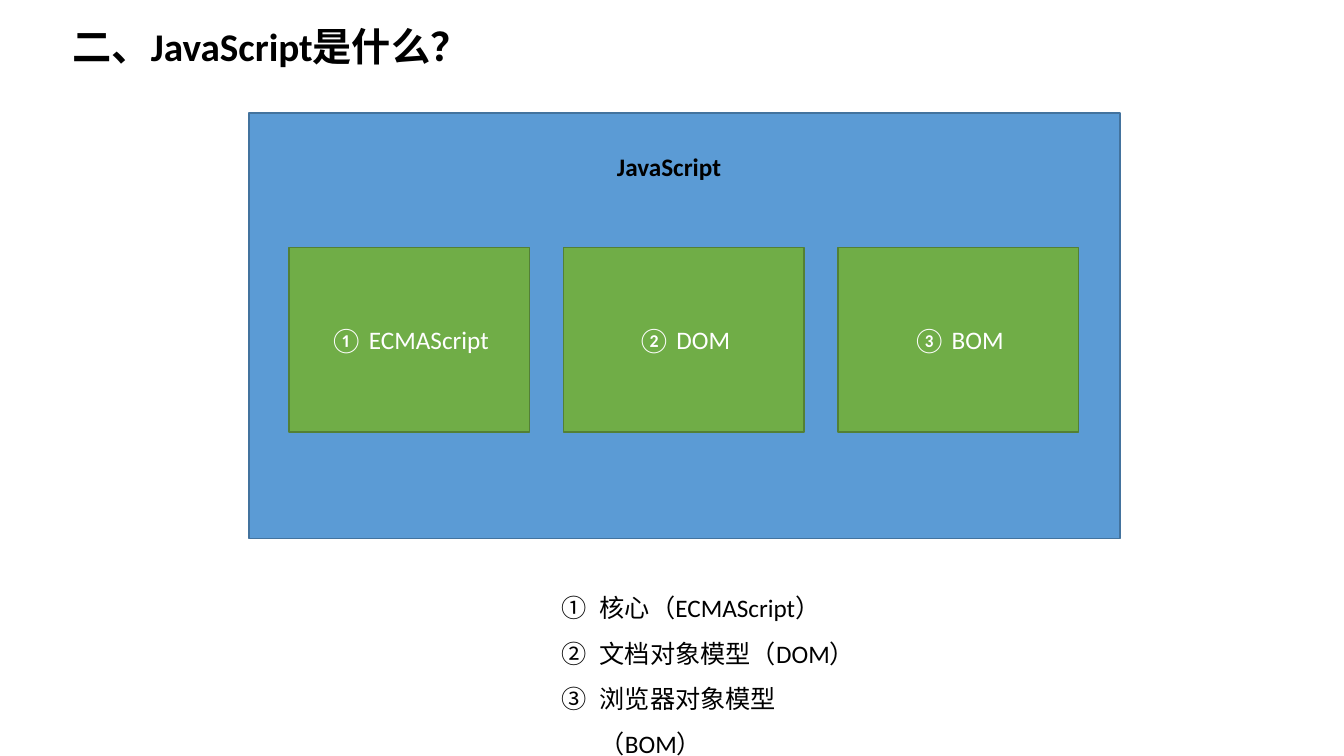
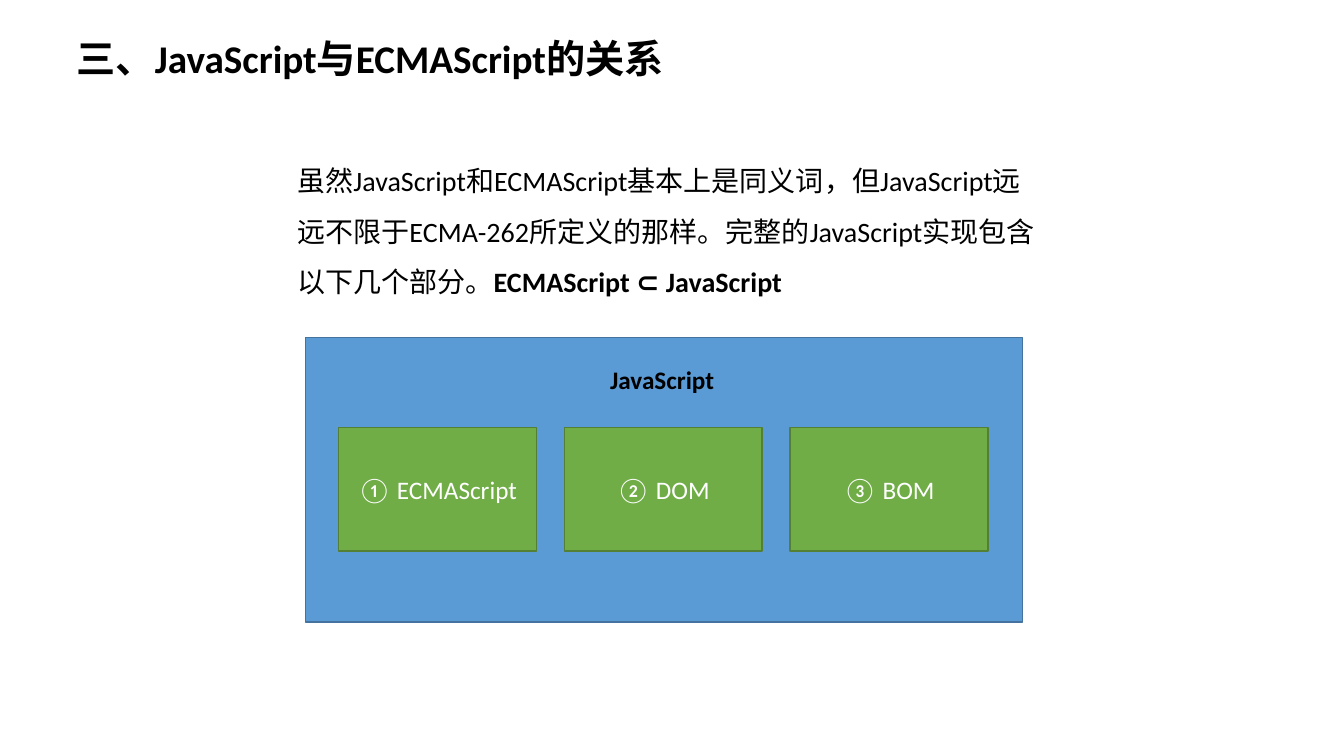
from lxml import etree
from pptx import Presentation
from pptx.dml.color import RGBColor
from pptx.enum.shapes import MSO_SHAPE
from pptx.enum.text import MSO_ANCHOR, MSO_AUTO_SIZE, PP_ALIGN
from pptx.oxml.ns import qn
from pptx.util import Inches, Pt

RECTANGLE = MSO_SHAPE.RECTANGLE
TOP, MIDDLE = MSO_ANCHOR.TOP, MSO_ANCHOR.MIDDLE
GROW = MSO_AUTO_SIZE.SHAPE_TO_FIT_TEXT
LEFT, CENTER = PP_ALIGN.LEFT, PP_ALIGN.CENTER

BLACK = RGBColor(0x00, 0x00, 0x00)
WHITE = RGBColor(0xFF, 0xFF, 0xFF)
BLUE = RGBColor(0x5B, 0x9B, 0xD5)
BLUE_EDGE = RGBColor(0x43, 0x73, 0x9E)
GREEN = RGBColor(0x70, 0xAD, 0x47)
GREEN_EDGE = RGBColor(0x53, 0x80, 0x35)

FONT = "Calibri"
TITLE_ONLY = 5
TITLE_STYLE = {"size": Pt(28), "bold": True}
LABEL_STYLE = {"size": Pt(18), "bold": True}
ITEM_STYLE = {"size": Pt(18), "bold": False}
BODY_STYLE = {"size": Pt(20), "bold": False}
STRONG_STYLE = {"size": Pt(20), "bold": True}

# Shares of the panel's width and height
LABEL_AREA = (0.411, 0.078, 0.178, 0.1)
MODULE_AREA = (0.046, 0.317, 0.276, 0.433)
MODULE_PITCH = 0.315

MODULES = ["① ECMAScript", "② DOM", "③ BOM"]
PARTS = ["核心（ECMAScript）", "文档对象模型（DOM）", "浏览器对象模型（BOM）"]
RELATION = ("虽然JavaScript和ECMAScript基本上是同义词，但JavaScript远远不限于"
            "ECMA-262所定义的那样。完整的JavaScript实现包含以下几个部分。")


def write(para, text, style, color=BLACK):
    span = para.add_run()
    span.text = text
    span.font.name = FONT
    span.font.color.rgb = color
    for name, value in style.items():
        setattr(span.font, name, value)


def share_of(panel, area):
    """Turn shares of a panel into left, top, width and height in inches."""
    left, top, width, height = panel
    return (left + area[0] * width, top + area[1] * height,
            area[2] * width, area[3] * height)


def add_page(deck, title, left, top):
    page = deck.slides.add_slide(deck.slide_layouts[TITLE_ONLY])
    box = page.shapes.title
    box.left, box.top = Inches(left), Inches(top)
    box.width, box.height = Inches(6.76), Inches(0.57)
    frame = box.text_frame
    frame.vertical_anchor = TOP
    frame.auto_size = GROW
    para = frame.paragraphs[0]
    para.alignment = LEFT
    write(para, title, TITLE_STYLE)
    return page


def add_text_frame(shapes, area):
    frame = shapes.add_textbox(*map(Inches, area)).text_frame
    frame.word_wrap = True
    frame.auto_size = GROW
    return frame


def add_rectangle(shapes, area, fill, edge):
    box = shapes.add_shape(RECTANGLE, *map(Inches, area))
    box.shadow.inherit = False
    box.fill.solid()
    box.fill.fore_color.rgb = fill
    box.line.color.rgb = edge
    box.line.width = Pt(1)
    return box


def add_module(shapes, area, text):
    frame = add_rectangle(shapes, area, GREEN, GREEN_EDGE).text_frame
    frame.vertical_anchor = MIDDLE
    para = frame.paragraphs[0]
    para.alignment = CENTER
    write(para, text, ITEM_STYLE, WHITE)


def add_diagram(page, panel):
    """Group a panel with its modules and label, all scaled to the panel."""
    shapes = page.shapes.add_group_shape().shapes
    add_rectangle(shapes, panel, BLUE, BLUE_EDGE)
    left, *rest = MODULE_AREA
    for column, text in enumerate(MODULES):
        area = (left + column * MODULE_PITCH, *rest)
        add_module(shapes, share_of(panel, area), text)
    label = add_text_frame(shapes, share_of(panel, LABEL_AREA))
    write(label.paragraphs[0], "JavaScript", LABEL_STYLE)


def add_numbered_list(page, area, items):
    frame = add_text_frame(page.shapes, area)
    for index, item in enumerate(items):
        para = frame.add_paragraph() if index else frame.paragraphs[0]
        para.line_spacing = 1.5
        write(para, item, ITEM_STYLE)
        properties = para._p.get_or_add_pPr()
        properties.set("marL", str(Inches(0.38)))
        properties.set("indent", str(Inches(-0.38)))
        number = etree.SubElement(properties, qn("a:buAutoNum"))
        number.set("type", "circleNumDbPlain")


def add_relation(page, area):
    para = add_text_frame(page.shapes, area).paragraphs[0]
    para.line_spacing = 1.5
    write(para, RELATION, BODY_STYLE)
    write(para, "ECMAScript ⊂ JavaScript", STRONG_STYLE)


def main():
    deck = Presentation()
    deck.slide_width, deck.slide_height = Inches(13.33), Inches(7.5)

    page = add_page(deck, "二、JavaScript是什么？", 0.62, 0.17)
    add_diagram(page, (2.47, 1.12, 8.64, 4.22))
    add_numbered_list(page, (5.47, 5.68, 3.24, 1.46), PARTS)

    page = add_page(deck, "三、JavaScript与ECMAScript的关系", 0.66, 0.29)
    add_relation(page, (2.85, 1.41, 7.63, 1.61))
    add_diagram(page, (3.03, 3.35, 7.11, 2.82))

    deck.save("out.pptx")


if __name__ == "__main__":
    main()
